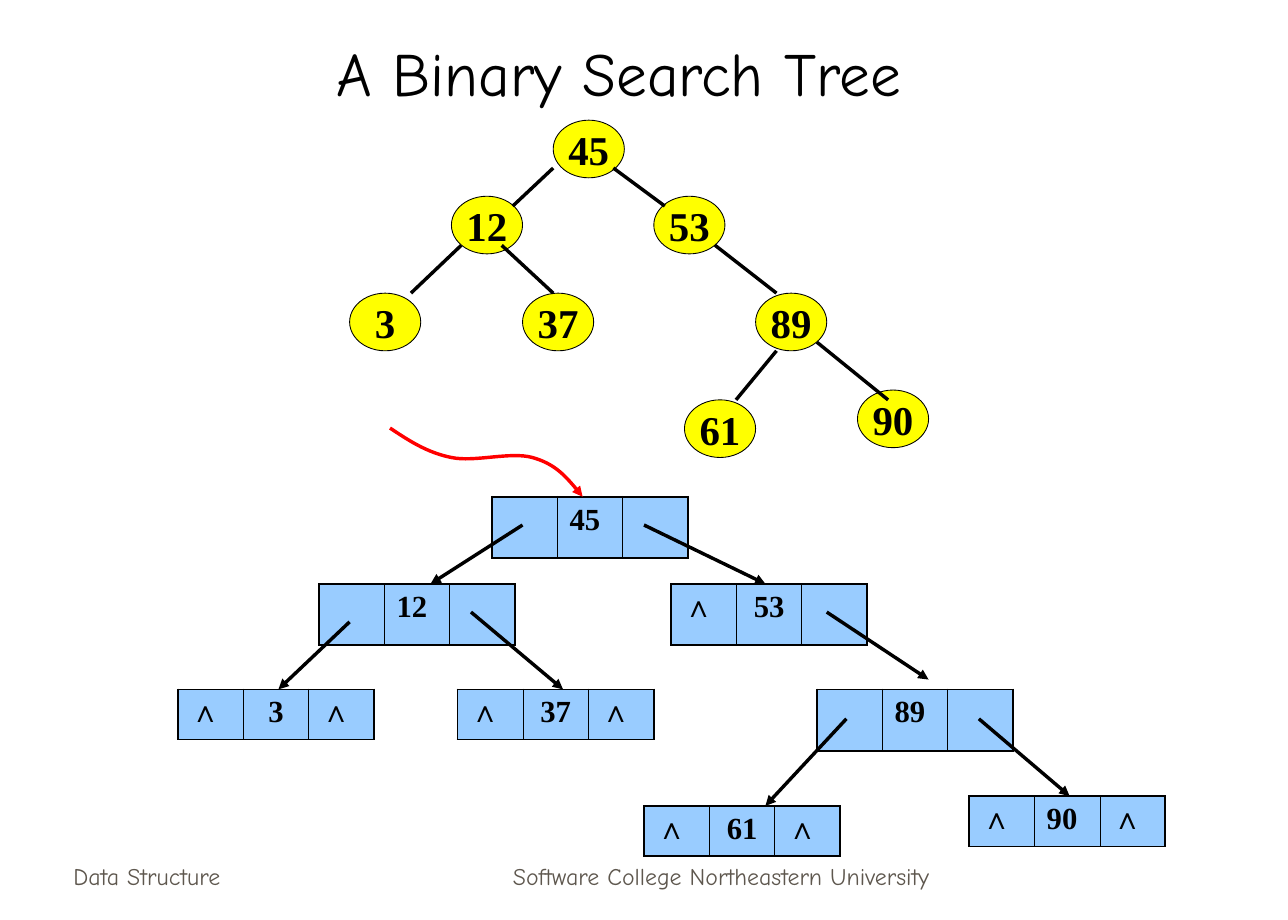
from lxml.etree import SubElement
from pptx import Presentation
from pptx.dml.color import RGBColor
from pptx.enum.shapes import MSO_CONNECTOR, MSO_SHAPE
from pptx.enum.text import MSO_ANCHOR, MSO_AUTO_SIZE, PP_ALIGN
from pptx.oxml.ns import qn
from pptx.util import Inches, Pt

BLACK, YELLOW, BLUE, RED, GREY = "000000", "FFFF00", "99CCFF", "FF0000", "5E574E"
SERIF, COMIC = "Times New Roman", "Comic Neue"
LEFT, CENTER = PP_ALIGN.LEFT, PP_ALIGN.CENTER
NODE_W, NODE_H = 0.58, 0.47
CELL_W = 1.6 / 3

NODES = [("45", 4.51, 0.98), ("12", 3.68, 1.6), ("53", 5.33, 1.6), ("3", 2.85, 2.39),
         ("37", 4.26, 2.39), ("89", 6.16, 2.39), ("61", 5.58, 3.26), ("90", 6.99, 3.18)]
EDGES = [(4.51, 1.37, 4.18, 1.68), (3.76, 2, 3.35, 2.39), (6.33, 2.86, 6, 3.26),
         (5, 1.37, 5.42, 1.68), (4.09, 2, 4.51, 2.39), (5.83, 2, 6.33, 2.39),
         (6.66, 2.79, 7.24, 3.26)]
RECORDS = [(4.01, 4.05, ("", "45", ""), LEFT), (2.6, 4.76, ("", "12", ""), LEFT),
           (5.47, 4.76, ("∧", "53", ""), CENTER), (1.45, 5.62, ("∧", "3", "∧"), CENTER),
           (3.73, 5.62, ("∧", "37", "∧"), CENTER), (6.66, 5.62, ("", "89", ""), LEFT),
           (5.25, 6.57, ("∧", "61", "∧"), CENTER), (7.9, 6.49, ("∧", "90", "∧"), LEFT)]
POINTERS = [(4.26, 4.28, 3.51, 4.76), (2.85, 5.07, 2.27, 5.62), (3.84, 4.99, 4.59, 5.62),
            (5.25, 4.28, 6.24, 4.76), (6.74, 4.99, 7.57, 5.54), (6.9, 5.86, 6.24, 6.57),
            (7.98, 5.86, 8.72, 6.49)]
ROOT_CURVE = [(3.18, 3.49), (3.33, 3.59), (3.48, 3.69), (3.68, 3.73), (3.87, 3.77),
              (4.16, 3.68), (4.34, 3.73), (4.52, 3.78), (4.64, 3.91), (4.75, 4.05)]


def rgb(value):
    return RGBColor.from_string(value)


def set_all(obj, values):
    for name, value in values.items():
        setattr(obj, name, value)


def write(tf, text, size, font=SERIF, color=BLACK, bold=False, align=CENTER, **frame):
    set_all(tf, frame)
    p = tf.paragraphs[0]
    p.alignment = align
    r = p.add_run()
    r.text = text
    set_all(r.font, {"size": Pt(size), "name": font, "bold": bold})
    r.font.color.rgb = rgb(color)


def set_line(shape, color, width, arrow=False):
    shape.line.color.rgb = rgb(color)
    shape.line.width = Pt(width)
    if arrow:
        SubElement(shape.line._get_or_add_ln(), qn("a:tailEnd"), type="triangle")


def add_title(s, text):
    sp = s.shapes.title
    set_all(sp, {"left": Inches(0.58), "top": Inches(0.17),
                 "width": Inches(8.93), "height": Inches(0.83)})
    write(sp.text_frame, text, 36, COMIC, word_wrap=True,
          auto_size=MSO_AUTO_SIZE.NONE, vertical_anchor=MSO_ANCHOR.MIDDLE)


def add_footer(s, text, x, w, align):
    sp = s.shapes.add_textbox(Inches(x), Inches(6.81), Inches(w), Inches(0.5))
    write(sp.text_frame, text, 14, COMIC, GREY, align=align,
          word_wrap=True, vertical_anchor=MSO_ANCHOR.BOTTOM)


def add_node(shapes, text, x, y):
    sp = shapes.add_shape(MSO_SHAPE.OVAL, Inches(x), Inches(y), Inches(NODE_W), Inches(NODE_H))
    sp.shadow.inherit = False
    sp.fill.solid()
    sp.fill.fore_color.rgb = rgb(YELLOW)
    set_line(sp, BLACK, 0.5)
    write(sp.text_frame, text, 24, bold=True,
          word_wrap=False, vertical_anchor=MSO_ANCHOR.MIDDLE)


def add_link(shapes, ends, arrow=False):
    cx = shapes.add_connector(MSO_CONNECTOR.STRAIGHT, *map(Inches, ends))
    set_line(cx, BLACK, 2, arrow)
    SubElement(cx._element.spPr, qn("a:effectLst"))


def set_borders(cell, widths):
    tc_pr = cell._tc.get_or_add_tcPr()
    for side, width in widths.items():
        ln = SubElement(tc_pr, qn(f"a:ln{side}"), w=str(Pt(width)))
        fill = SubElement(ln, qn("a:solidFill"))
        SubElement(fill, qn("a:srgbClr"), val=BLACK)


def add_record(s, x, y, texts, align):
    """Draw a tree node as a left pointer, a key and a right pointer."""
    height = 0.41 if all(texts) else 0.5
    table = s.shapes.add_table(1, 3, Inches(x), Inches(y),
                               Inches(3 * CELL_W), Inches(height)).table
    set_all(table, {"first_row": False, "horz_banding": False})
    for i, text in enumerate(texts):
        table.columns[i].width = Inches(CELL_W)
        cell = table.cell(0, i)
        set_borders(cell, {"L": 0.45 if i > 0 else 1.08, "R": 0.45 if i < 2 else 1.08,
                           "T": 1.08, "B": 1.08})
        cell.fill.solid()
        cell.fill.fore_color.rgb = rgb(BLUE)
        if text:
            write(cell.text_frame, text, 18, bold=True, align=align if i == 1 else LEFT)


def add_curve_arrow(s, points):
    """Draw a Bezier curve: a start point, then three points per segment."""
    points = [(Inches(x), Inches(y)) for x, y in points]
    builder = s.shapes.build_freeform(*points[0])
    builder.add_line_segments(points[1:], close=False)
    sp = builder.convert_to_shape()
    path = next(sp._element.iter(qn("a:path")))
    steps = path.findall(qn("a:lnTo"))
    for i in range(0, len(steps), 3):
        bezier = SubElement(path, qn("a:cubicBezTo"))
        for step in steps[i:i + 3]:
            bezier.append(step[0])
            path.remove(step)
    sp.shadow.inherit = False
    sp.fill.background()
    set_line(sp, RED, 2, arrow=True)


def main():
    prs = Presentation()
    set_all(prs, {"slide_width": Inches(10.5), "slide_height": Inches(7.5)})
    s = prs.slides.add_slide(prs.slide_layouts[5])
    add_title(s, "A Binary Search Tree")
    add_footer(s, "Data Structure", 0.5, 2.19, LEFT)
    add_footer(s, "Software College Northeastern University", 3.59, 4.58, CENTER)
    tree = s.shapes.add_group_shape().shapes
    for node in NODES:
        add_node(tree, *node)
    for edge in EDGES:
        add_link(tree, edge)
    for record in RECORDS:
        add_record(s, *record)
    for pointer in POINTERS:
        add_link(s.shapes, pointer, arrow=True)
    add_curve_arrow(s, ROOT_CURVE)
    prs.save("out.pptx")


if __name__ == "__main__":
    main()
